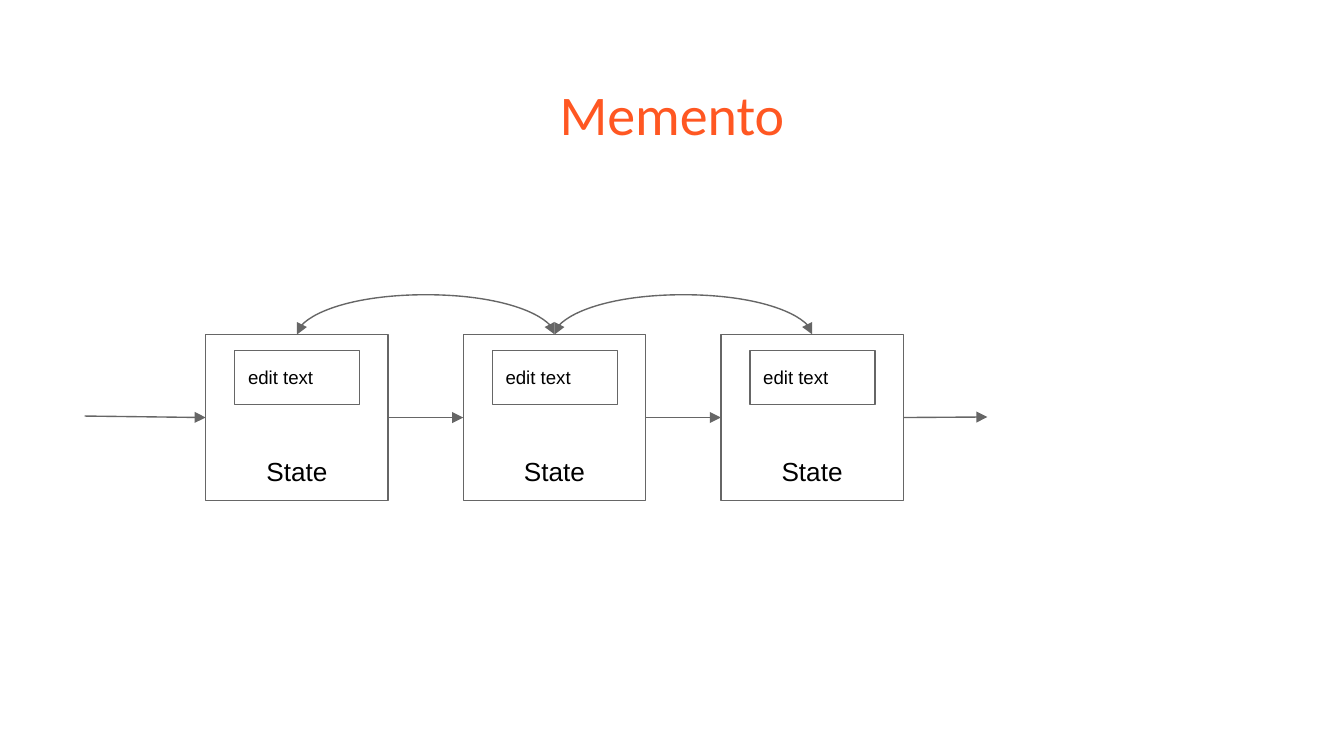
from lxml.etree import SubElement
from pptx import Presentation
from pptx.dml.color import RGBColor
from pptx.enum.shapes import MSO_CONNECTOR, MSO_SHAPE
from pptx.enum.text import MSO_ANCHOR, PP_ALIGN
from pptx.oxml.ns import qn
from pptx.util import Pt

ORANGE = RGBColor(0xFF, 0x57, 0x22)
GRAY = RGBColor(0x66, 0x66, 0x66)
BLACK = RGBColor(0, 0, 0)
TOP, LEFT, RIGHT = 0, 1, 3


class StateDiagram:
    """Draws boxes, labels and arrows in one style on the current page."""

    inset = Pt(7.2)
    stroke = Pt(0.75)

    def __init__(self, page):
        self.page = page

    def label(self, box, text, align, anchor, color, **font):
        frame = box.text_frame
        layout = {"word_wrap": True, "vertical_anchor": anchor}
        for side in ("left", "top", "right", "bottom"):
            layout[f"margin_{side}"] = self.inset
        for name, value in layout.items():
            setattr(frame, name, value)
        para = frame.paragraphs[0]
        para.alignment = align
        span = para.add_run()
        span.text = text
        span.font.color.rgb = color
        for name, value in font.items():
            setattr(span.font, name, value)

    def title(self, text, left, top, width, height):
        box = self.page.shapes.add_textbox(Pt(left), Pt(top), Pt(width), Pt(height))
        self.label(box, text, PP_ALIGN.CENTER, MSO_ANCHOR.TOP, ORANGE,
                   name="Calibri", size=Pt(30))

    def rectangle(self, text, left, top, width, height, size, align, anchor):
        box = self.page.shapes.add_shape(
            MSO_SHAPE.RECTANGLE, Pt(left), Pt(top), Pt(width), Pt(height))
        box.shadow.inherit = False
        box.fill.background()
        box.line.color.rgb = GRAY
        box.line.width = self.stroke
        self.label(box, text, align, anchor, BLACK, name="Arial", size=Pt(size))
        return box

    def connector(self, kind, start, end, heads):
        points = [Pt(value) for value in (*start, *end)]
        link = self.page.shapes.add_connector(kind, *points)
        link.line.color.rgb = GRAY
        link.line.width = self.stroke
        properties = link._element.spPr
        outline = properties.find(qn("a:ln"))
        for head in heads:
            SubElement(outline, qn(f"a:{head}"), type="triangle")
        SubElement(properties, qn("a:effectLst"))
        return link

    def arrow(self, start, end, source=None, target=None):
        link = self.connector(MSO_CONNECTOR.STRAIGHT, start, end, ["tailEnd"])
        if source:
            link.begin_connect(source, RIGHT)
        if target:
            link.end_connect(target, LEFT)

    def arc(self, source, target, rise):
        link = self.connector(MSO_CONNECTOR.CURVE, (0, 0), (0, 0), ["headEnd", "tailEnd"])
        link.begin_connect(source, TOP)
        link.end_connect(target, TOP)
        reach = source.left - target.left
        depth = 0.05
        center = target.left + target.width // 2 + reach // 2
        frame = {"left": center - Pt(depth) // 2, "top": source.top - reach // 2,
                 "width": Pt(depth), "height": reach}
        for name, value in frame.items():
            setattr(link, name, value)
        properties = link._element.spPr
        transform = properties.find(qn("a:xfrm"))
        for flip in ("flipH", "flipV"):
            transform.attrib.pop(flip, None)
        transform.set("rot", "5400000")
        geometry = properties.find(qn("a:prstGeom"))
        guides = geometry.find(qn("a:avLst"))
        if guides is None:
            guides = SubElement(geometry, qn("a:avLst"))
        SubElement(guides, qn("a:gd"), name="adj1",
                   fmla=f"val {round(-rise / depth * 100000)}")


def main():
    deck = Presentation()
    deck.slide_width, deck.slide_height = Pt(720), Pt(405)
    diagram = StateDiagram(deck.slides.add_slide(deck.slide_layouts[6]))
    diagram.title("Memento", 24.5, 35.5, 671, 45.4)

    left, top, width, height, pitch = 110.2, 179.2, 97.8, 89, 138
    middle = top + height / 2
    states = []
    for index in range(3):
        x = left + index * pitch
        states.append(diagram.rectangle("State", x, top, width, height, 14,
                                        PP_ALIGN.CENTER, MSO_ANCHOR.BOTTOM))
        diagram.rectangle("edit text", x + 15.6, top + 8.6, 67, 28.8, 10,
                          PP_ALIGN.LEFT, MSO_ANCHOR.MIDDLE)

    first, second, third = states
    last_edge = left + 2 * pitch + width
    diagram.arrow((45.4, 222.9), (left, middle), target=first)
    for source, target in zip(states, states[1:]):
        diagram.arrow((left, middle), (left + pitch, middle), source, target)
    diagram.arrow((last_edge, middle), (529, 223.4), source=third)
    for source, target in ((third, second), (second, first)):
        diagram.arc(source, target, 18.75)

    deck.save("out.pptx")


if __name__ == "__main__":
    main()
